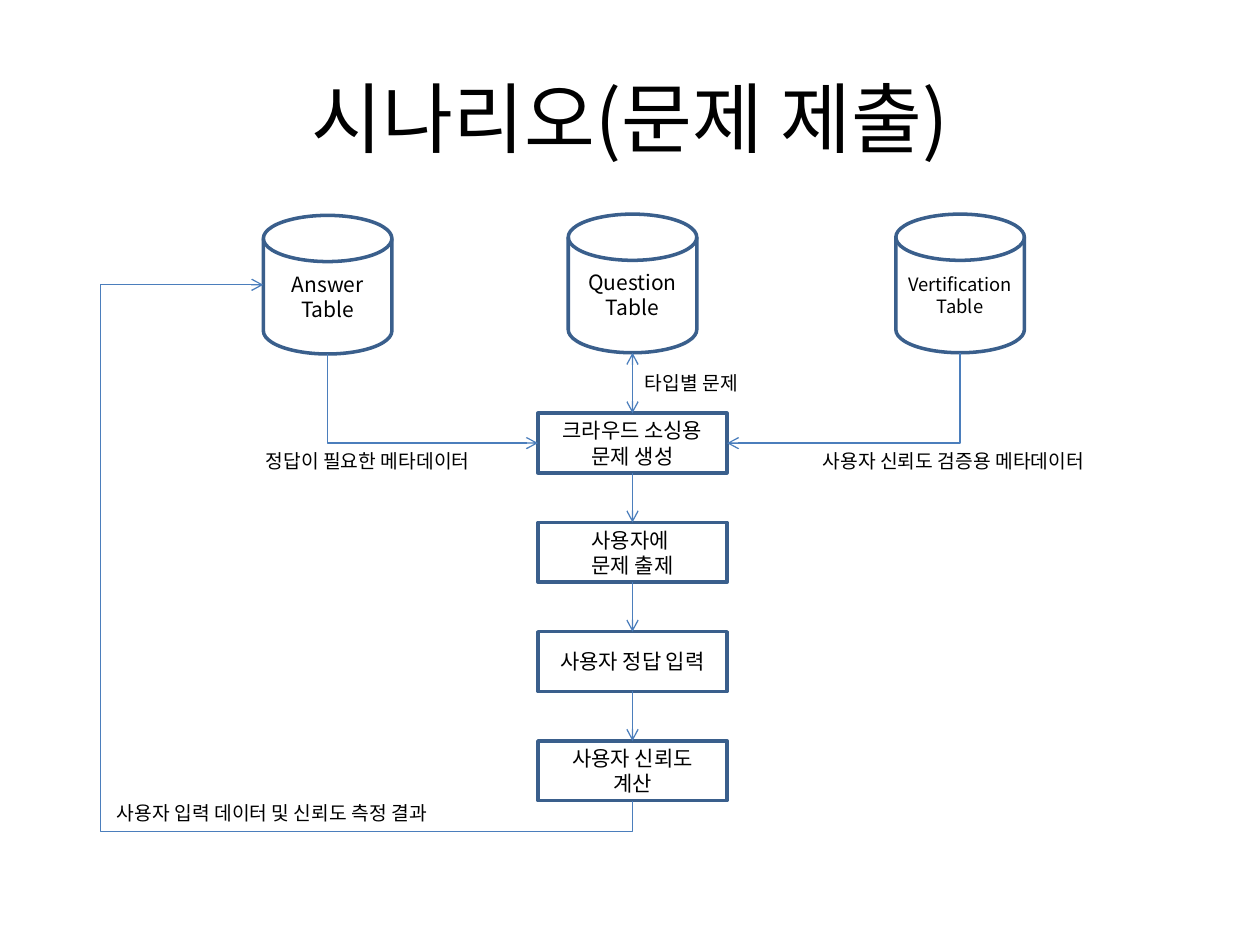
from lxml import etree
from pptx import Presentation
from pptx.dml.color import RGBColor
from pptx.enum.shapes import MSO_CONNECTOR, MSO_SHAPE
from pptx.enum.text import MSO_ANCHOR, MSO_AUTO_SIZE, PP_ALIGN
from pptx.oxml.ns import qn
from pptx.util import Inches, Pt

BLACK = RGBColor(0x00, 0x00, 0x00)
OUTLINE = RGBColor(0x3A, 0x5F, 0x8C)
ARROW = RGBColor(0x4B, 0x7E, 0xBC)
FONT = "Noto Sans CJK KR"
COLS, ROWS = 100, 75
STRAIGHT, ELBOW = MSO_CONNECTOR.STRAIGHT, MSO_CONNECTOR.ELBOW
RECT, DISK = MSO_SHAPE.RECTANGLE, MSO_SHAPE.FLOWCHART_MAGNETIC_DISK
CENTER, LEFT = PP_ALIGN.CENTER, PP_ALIGN.LEFT
MIDDLE, TOP = MSO_ANCHOR.MIDDLE, MSO_ANCHOR.TOP
FIT_SHAPE = MSO_AUTO_SIZE.SHAPE_TO_FIT_TEXT


class Flowchart:
    """Draws on one slide; all positions are columns and rows of its grid."""

    def __init__(self, prs):
        self.slide = prs.slides.add_slide(prs.slide_layouts[5])
        self.col = prs.slide_width / COLS
        self.row = prs.slide_height / ROWS

    def grid(self, *lengths):
        """Turn alternating columns and rows into EMU."""
        return [round(n * (self.row if i % 2 else self.col))
                for i, n in enumerate(lengths)]

    def set_text(self, sp, text, size, align=CENTER, anchor=MIDDLE):
        tf = sp.text_frame
        tf.vertical_anchor = anchor
        tf.text = text
        for p in tf.paragraphs:
            p.alignment = align
            p.font.size = Pt(size)
            p.font.name = FONT
            p.font.color.rgb = BLACK
            latin = p.font._element.find(qn("a:latin"))
            latin.addnext(etree.Element(qn("a:ea"), typeface=FONT))

    def title(self, text):
        sp = self.slide.shapes.title
        sp.left, sp.top, sp.width, sp.height = self.grid(5, 3, 90, 12.5)
        self.set_text(sp, text, 44)

    def node(self, kind, box, text, size=12):
        sp = self.slide.shapes.add_shape(kind, *self.grid(*box))
        sp.shadow.inherit = False
        sp.fill.background()
        sp.line.color.rgb = OUTLINE
        sp.line.width = Pt(2)
        self.set_text(sp, text, size)
        sp.text_frame.word_wrap = True
        return sp

    def label(self, x, y, width, text):
        sp = self.slide.shapes.add_textbox(*self.grid(x, y, width, 2.86))
        self.set_text(sp, text, 11, LEFT, TOP)
        sp.text_frame.word_wrap = False
        sp.text_frame.auto_size = FIT_SHAPE

    def connector(self, kind, start, end, ends=("tailEnd",)):
        c = self.slide.shapes.add_connector(kind, *self.grid(*start, *end))
        c.line.color.rgb = ARROW
        c.line.width = Pt(0.75)
        ln = c._element.spPr.find(qn("a:ln"))
        for tag in ends:
            etree.SubElement(ln, qn(f"a:{tag}"), type="arrow")
        etree.SubElement(c._element.spPr, qn("a:effectLst"))
        return c

    def elbow(self, start, end, preset, rotation, flip=False, adjust=()):
        """Bent arrow leaving vertically: its frame is turned by a quarter."""
        (x1, y1), (x2, y2) = start, end
        cx, cy = (x1 + x2) / 2, (y1 + y2) / 2
        w, h = abs(y2 - y1), abs(x2 - x1)
        c = self.connector(ELBOW, (cx - w / 2, cy - h / 2),
                           (cx + w / 2, cy + h / 2))
        xfrm = c._element.spPr.find(qn("a:xfrm"))
        xfrm.set("rot", str(rotation * 60000))
        if flip:
            xfrm.set("flipH", "1")
        geom = c._element.spPr.find(qn("a:prstGeom"))
        geom.set("prst", preset)
        guides = geom.find(qn("a:avLst"))
        for i, share in enumerate(adjust, 1):
            etree.SubElement(guides, qn("a:gd"), name=f"adj{i}",
                             fmla=f"val {round(share * 100000)}")


def main():
    prs = Presentation()
    prs.slide_width, prs.slide_height = Inches(10), Inches(7.5)
    chart = Flowchart(prs)
    chart.title("시나리오(문제 제출)")

    axis = 50.2
    answer_x, verify_x = 26, 76.2
    disk_w, disk_h, disk_y = 10.2, 11, 17
    disk_bottom = disk_y + disk_h
    for x, y, text, size in (
        (answer_x, disk_y + 0.1, "Answer\nTable", 12),
        (axis, disk_y, "Question\nTable", 12),
        (verify_x, disk_y, "Vertification\nTable", 10.5),
    ):
        chart.node(DISK, (x - disk_w / 2, y, disk_w, disk_h), text, size)

    step_w, step_h, step_y, pitch = 15, 4.74, 32.8, 8.67
    steps = [
        chart.node(RECT, (axis - step_w / 2, step_y + i * pitch, step_w, step_h), text)
        for i, text in enumerate((
            "크라우드 소싱용 문제 생성", "사용자에 \n문제 출제",
            "사용자 정답 입력", "사용자 신뢰도\n계산"))
    ]

    both = chart.connector(STRAIGHT, (axis, disk_bottom), (axis, step_y),
                           ("headEnd", "tailEnd"))
    both.end_connect(steps[0], 0)
    for i, (upper, lower) in enumerate(zip(steps, steps[1:])):
        y = step_y + i * pitch
        c = chart.connector(STRAIGHT, (axis, y + step_h), (axis, y + pitch))
        c.begin_connect(upper, 2)
        c.end_connect(lower, 0)

    step_mid = step_y + step_h / 2
    chart.elbow((verify_x, disk_bottom), (axis + step_w / 2, step_mid),
                "bentConnector2", 90)
    chart.elbow((answer_x, disk_bottom + 0.1), (axis - step_w / 2, step_mid),
                "bentConnector2", 270, flip=True)
    last_bottom = step_y + 3 * pitch + step_h
    chart.elbow((axis, last_bottom), (answer_x - disk_w / 2, disk_y + 0.1 + disk_h / 2),
                "bentConnector4", 90, flip=True, adjust=(-0.06, 1.44))

    chart.label(50.2, 29, 10.3, "타입별 문제")
    chart.label(20.1, 35.2, 20.1, "정답이 필요한 메타데이터")
    chart.label(64.3, 35.2, 25.2, "사용자 신뢰도 검증용 메타데이터")
    chart.label(8.3, 63.1, 30, "사용자 입력 데이터 및 신뢰도 측정 결과")
    prs.save("out.pptx")


if __name__ == "__main__":
    main()
